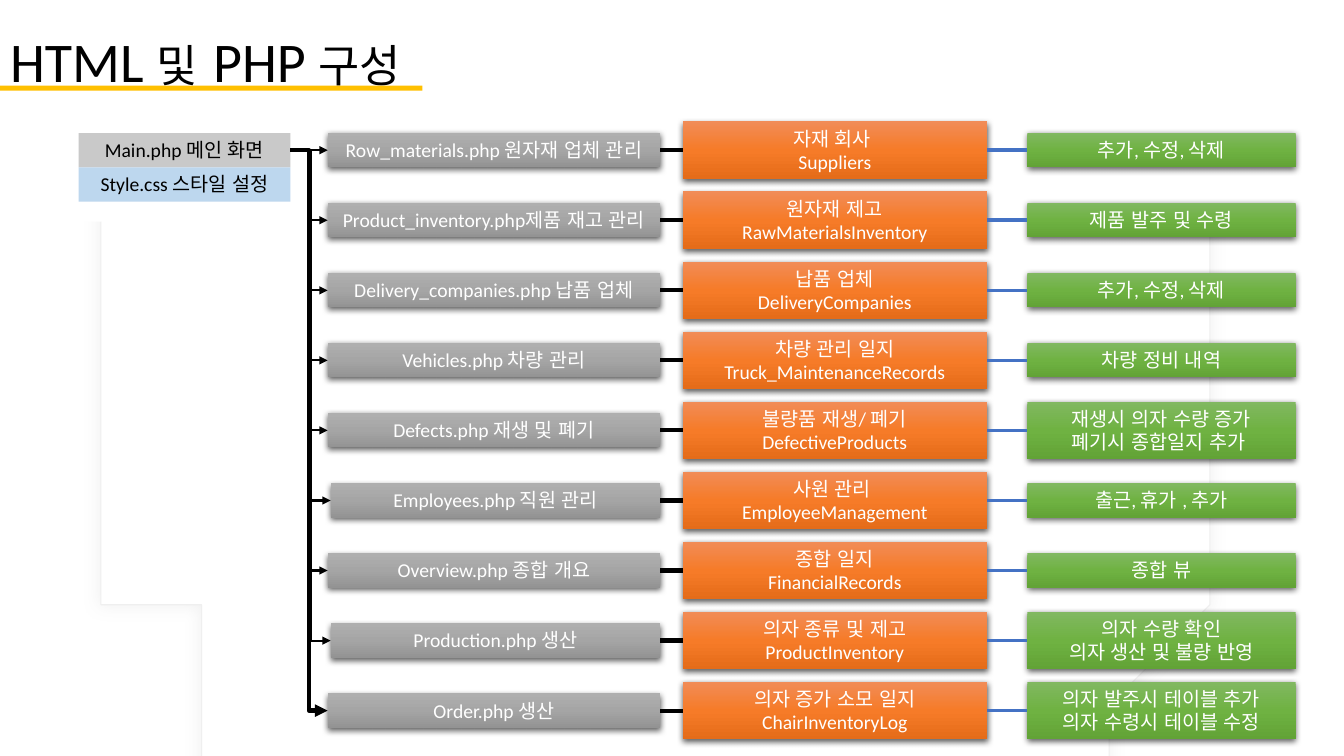
import copy
import math
import pptx
import pptx.dml.color
import pptx.enum.lang
import pptx.enum.shapes
import pptx.enum.text
import pptx.oxml
import pptx.oxml.ns
import pptx.util

WIDTH, HEIGHT = 13.33, 7.5
FIRST_ROW, LAST_ROW = 1.49, 7.05
SINGLE, DOUBLE = 0.34, 0.57

# Column name: left edge and width
COLUMNS = {
    "main": (0.78, 2.1),
    "file": (3.25, 3.3),
    "table": (6.77, 3.02),
    "action": (10.19, 2.66),
}
GRADIENTS = {
    "file": ("AFAFAF", "A5A5A5", "939393"),
    "table": ("F18C57", "F67B28", "E56C19"),
    "action": ("81B861", "6FB242", "62A336"),
}
# One row per page: file, database table, actions
ROWS = [
    ("Row_materials.php 원자재 업체 관리", "자재 회사 \nSuppliers", "추가, 수정, 삭제"),
    ("Product_inventory.php제품 재고 관리", "원자재 제고 RawMaterialsInventory", "제품 발주 및 수령"),
    ("Delivery_companies.php 납품 업체", "납품 업체\nDeliveryCompanies", "추가, 수정, 삭제"),
    ("Vehicles.php 차량 관리", "차량 관리 일지\nTruck_MaintenanceRecords", "차량 정비 내역"),
    ("Defects.php 재생 및 폐기", "불량품 재생/ 폐기\nDefectiveProducts",
     "재생시 의자 수량 증가\n폐기시 종합일지 추가 "),
    ("Employees.php 직원 관리", "사원 관리 \nEmployeeManagement", "출근, 휴가 , 추가"),
    ("Overview.php 종합 개요", "종합 일지\nFinancialRecords", "종합 뷰"),
    ("Production.php 생산", "의자 종류 및 제고 ProductInventory",
     "의자 수량 확인\n의자 생산 및 불량 반영"),
    ("Order.php 생산", "의자 증가 소모 일지\nChairInventoryLog",
     "의자 발주시 테이블 추가\n의자 수령시 테이블 수정"),
]
INDENTED_ROWS = {5: 0.03, 7: 0.03}


def color(value):
    return pptx.dml.color.RGBColor.from_string(value)


def apply(target, values):
    for name, value in values.items():
        setattr(target, name, value)


def inches(*values):
    return [pptx.util.Inches(value) for value in values]


def row_center(row):
    return FIRST_ROW + row * (LAST_ROW - FIRST_ROW) / (len(ROWS) - 1)


class Sheet:
    """Holds the style and the current slide."""

    font = {"name": "Calibri", "language_id": pptx.enum.lang.MSO_LANGUAGE_ID.KOREAN}
    frame = {
        "word_wrap": True,
        "vertical_anchor": pptx.enum.text.MSO_ANCHOR.TOP,
        "auto_size": pptx.enum.text.MSO_AUTO_SIZE.SHAPE_TO_FIT_TEXT,
    }

    def __init__(self, page):
        self.page = page
        self.shapes = page.shapes

    def add_text(self, para, text, size, ink):
        span = para.add_run()
        span.text = text
        apply(span.font, {**self.font, "size": pptx.util.Pt(size)})
        span.font.color.rgb = color(ink)

    def shadow(self, shape, ink, alpha, blur, distance):
        shape.shadow.inherit = False
        effects = shape._element.spPr.find(pptx.oxml.ns.qn("a:effectLst"))
        effects.append(pptx.oxml.parse_xml(
            f'<a:outerShdw {pptx.oxml.ns.nsdecls("a")} blurRad="{pptx.util.Pt(blur)}" '
            f'dist="{pptx.util.Pt(distance)}" dir="5400000" algn="ctr" rotWithShape="0">'
            f'<a:srgbClr val="{ink}"><a:alpha val="{alpha * 1000}"/></a:srgbClr>'
            '</a:outerShdw>'))

    def rectangle(self, left, top, width, height, fill):
        box = self.shapes.add_shape(
            pptx.enum.shapes.MSO_SHAPE.RECTANGLE, *inches(left, top, width, height))
        box.shadow.inherit = False
        box.line.fill.background()
        box.fill.solid()
        box.fill.fore_color.rgb = color(fill)
        return box

    def label(self, column, center, text, height, fill, ink, indent=0):
        left, width = COLUMNS[column]
        box = self.rectangle(left + indent, center - height / 2, width - indent, height, fill)
        apply(box.text_frame, self.frame)
        for number, line in enumerate(text.split("\n")):
            para = box.text_frame.paragraphs[0] if number == 0 else box.text_frame.add_paragraph()
            para.alignment = pptx.enum.text.PP_ALIGN.CENTER
            self.add_text(para, line, 14, ink)
        return box

    def glossy_label(self, column, row, text, height, indent=0):
        shades = GRADIENTS[column]
        box = self.label(column, row_center(row), text, height, shades[1], "FFFFFF", indent)
        box.fill.gradient()
        box.fill.gradient_angle = 270
        first = box.fill.gradient_stops[0]._gs
        first.addnext(copy.deepcopy(first))
        for stop, shade, position in zip(box.fill.gradient_stops, shades, (0, 0.5, 1)):
            stop.color.rgb = color(shade)
            stop.position = position
        self.shadow(box, "000000", 63, 4.5, 1.5)

    def connector(self, start, end, ink, weight, arrow=False):
        kinds = pptx.enum.shapes.MSO_CONNECTOR
        kind = kinds.STRAIGHT if start[1] == end[1] else kinds.ELBOW
        link = self.shapes.add_connector(kind, *inches(*start, *end))
        link.line.color.rgb = color(ink)
        link.line.width = pptx.util.Pt(weight)
        if arrow:
            link.line._get_or_add_ln().append(pptx.oxml.parse_xml(
                f'<a:tailEnd {pptx.oxml.ns.nsdecls("a")} type="triangle"/>'))
        link._element.spPr.append(pptx.oxml.parse_xml(
            f'<a:effectLst {pptx.oxml.ns.nsdecls("a")}/>'))

    def backdrop(self, center_x, center_y, radius):
        """A disc cut off by the top and bottom edges of the slide."""
        top = -math.asin(center_y / radius)
        bottom = math.asin((HEIGHT - center_y) / radius)
        angles = [top + (bottom - top) * step / 60 for step in range(61)]
        right = [(center_x + radius * math.cos(a), center_y + radius * math.sin(a)) for a in angles]
        left = [(2 * center_x - x, y) for x, y in reversed(right)]
        outline = self.shapes.build_freeform(*right[0], scale=pptx.util.Inches(1))
        outline.add_line_segments(right[1:] + left, close=True)
        disc = outline.convert_to_shape()
        disc.fill.solid()
        disc.fill.fore_color.rgb = color("FFFFFF")
        disc.line.color.rgb = color("EFEFEF")
        disc.line.width = pptx.util.Pt(0.75)
        self.shadow(disc, "D9D9D9", 38, 11, 0)

    def title(self, parts, left, top, width, height):
        title = self.shapes.title
        self.shapes._spTree.append(title._element)  # in front of the backdrop
        apply(title, dict(zip(("left", "top", "width", "height"),
                              inches(left, top, width, height))))
        apply(title.text_frame, {
            **self.frame,
            "vertical_anchor": pptx.enum.text.MSO_ANCHOR.MIDDLE,
            "auto_size": pptx.enum.text.MSO_AUTO_SIZE.NONE,
        })
        para = title.text_frame.paragraphs[0]
        apply(para, {"alignment": pptx.enum.text.PP_ALIGN.LEFT, "line_spacing": 0.9,
                     "space_after": pptx.util.Pt(6)})
        for text, size in parts:
            self.add_text(para, text, size, "000000")


def main():
    deck = pptx.Presentation()
    deck.slide_width, deck.slide_height = inches(WIDTH, HEIGHT)
    sheet = Sheet(deck.slides.add_slide(deck.slide_layouts[5]))

    # Backdrop and title
    sheet.backdrop(WIDTH / 2, 3.99, 5.45)
    sheet.rectangle(0.62, 0, 12.2, 2.2, "FFFFFF")
    sheet.title([("HTML ", 40), ("및", 32), (" PHP ", 40), ("구성", 32)], 0, -0.01, 11.12, 1.29)

    # Main page and style sheet
    sheet.label("main", FIRST_ROW, "Main.php 메인 화면", SINGLE, "C9C9C9", "000000")
    sheet.label("main", FIRST_ROW + SINGLE, "Style.css 스타일 설정", SINGLE, "BDD7EE", "000000")

    # Rows of boxes with their links
    file_left, table_left, action_left = (COLUMNS[name][0] for name in GRADIENTS)
    main_end, file_end, table_end = (sum(COLUMNS[name]) for name in ("main", "file", "table"))
    for row, (file, table, action) in enumerate(ROWS):
        center = row_center(row)
        indent = INDENTED_ROWS.get(row, 0)
        trunk = row == len(ROWS) - 1
        sheet.connector((main_end, FIRST_ROW), (file_left + indent, center), "000000",
                        3 if trunk else 1.5, arrow=True)
        sheet.glossy_label("file", row, file, SINGLE, indent)
        sheet.glossy_label("table", row, table, DOUBLE)
        sheet.glossy_label("action", row, action, DOUBLE if "\n" in action else SINGLE)
        sheet.connector((file_end, center), (table_left, center), "000000", 3)
        sheet.connector((table_end, center), (action_left, center), "4472C4", 2.5)

    # Title underline
    sheet.rectangle(0, 0.85, 4.19, 0.05, "FFC000")
    deck.save("out.pptx")


if __name__ == "__main__":
    main()
